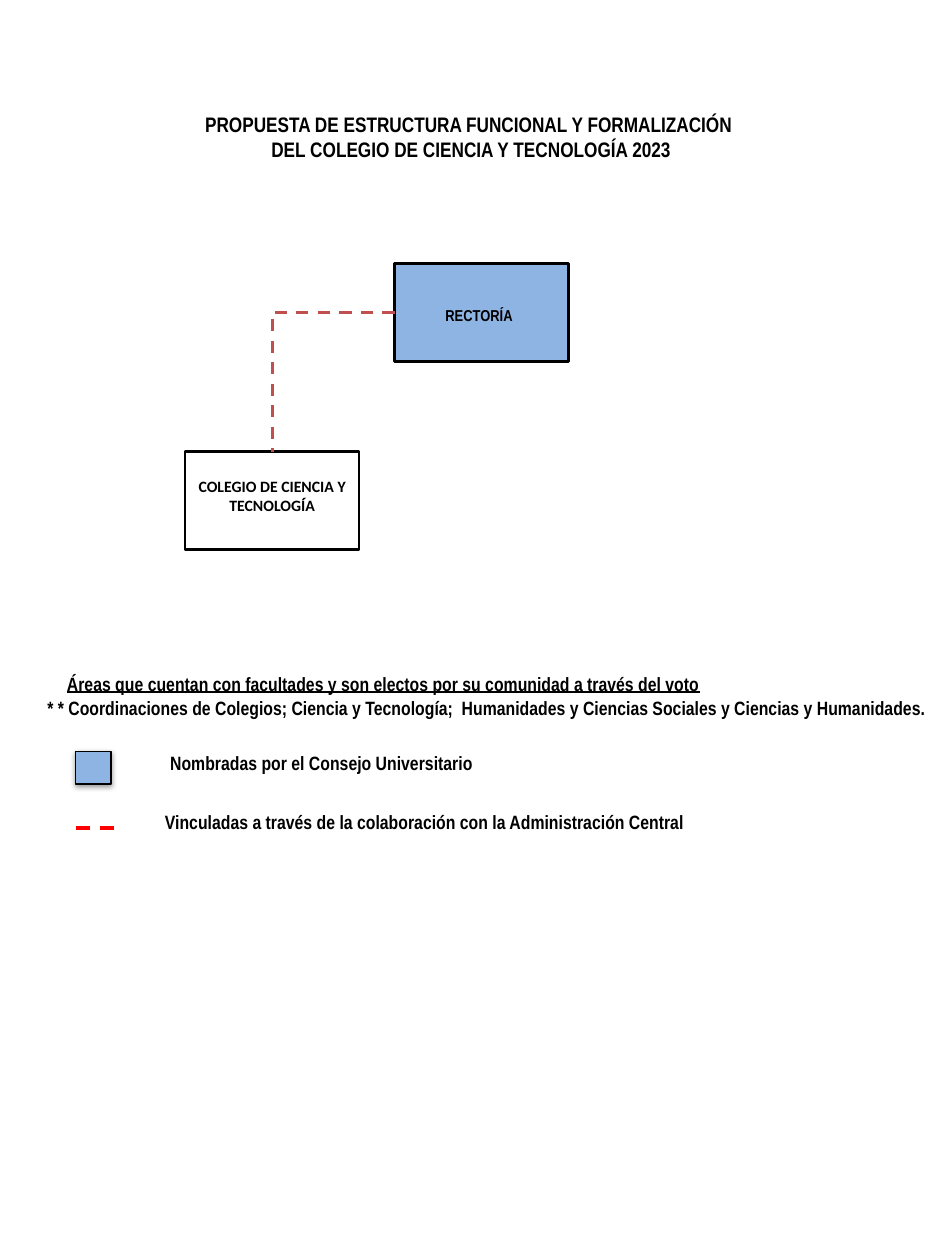
from dataclasses import dataclass

from lxml import etree
from pptx import Presentation
from pptx import util as u
from pptx.dml.color import RGBColor
from pptx.enum import dml, shapes, text
from pptx.oxml import parse_xml
from pptx.oxml.ns import nsdecls, qn

BLUE, BLACK, RED, BRICK = "8EB4E3", "000000", "FF0000", "C0504D"
NARROW = "Arial Narrow"
BOX_WIDTH, BOX_HEIGHT = 99.5, 56
NOTE_HEIGHT = 31.5


@dataclass(frozen=True)
class Label:
    lines: tuple[str, ...]
    size: float = 11
    font: str = NARROW
    centred: bool = False
    underline: bool = False
    insets: tuple[float, float, float, float] = (0, 9, 18, 9)


@dataclass(frozen=True)
class Box:
    left: float
    top: float
    width: float
    height: float
    label: Label | None = None
    fill: str | None = None
    weight: float = 1.5
    preset: shapes.MSO_SHAPE = shapes.MSO_SHAPE.RECTANGLE

    @property
    def frame(self) -> list[u.Length]:
        return [u.Pt(value) for value in (self.left, self.top, self.width, self.height)]


@dataclass(frozen=True)
class Link:
    start: tuple[float, float]
    end: tuple[float, float]
    colour: str
    weight: float
    preset: str = "line"


def colour_of(value: str) -> RGBColor:
    return RGBColor.from_string(value)


def write_label(shape, label: Label) -> None:
    frame = shape.text_frame
    sides = ("margin_left", "margin_top", "margin_right", "margin_bottom")
    settings = dict(zip(sides, map(u.Pt, label.insets)))
    settings |= {"word_wrap": True, "vertical_anchor": text.MSO_ANCHOR.TOP}
    for name, value in settings.items():
        setattr(frame, name, value)
    formats = {
        "name": label.font,
        "size": u.Pt(label.size),
        "bold": True,
        "underline": label.underline,
    }
    for index, line in enumerate(label.lines):
        paragraph = frame.add_paragraph() if index else frame.paragraphs[0]
        paragraph.alignment = text.PP_ALIGN.CENTER if label.centred else text.PP_ALIGN.LEFT
        run = paragraph.add_run()
        run.text = line
        for name, value in formats.items():
            setattr(run.font, name, value)
        run.font.color.rgb = colour_of(BLACK)


def draw_box(slide, box: Box):
    shape = slide.shapes.add_shape(box.preset, *box.frame)
    shape.shadow.inherit = False
    if box.fill:
        shape.fill.solid()
        shape.fill.fore_color.rgb = colour_of(box.fill)
    else:
        shape.fill.background()
    shape.line.color.rgb = colour_of(BLACK)
    shape.line.width = u.Pt(box.weight)
    if box.label:
        write_label(shape, box.label)
    return shape


def draw_text(slide, box: Box) -> None:
    shape = slide.shapes.add_textbox(*box.frame)
    write_label(shape, box.label)
    shape.text_frame.auto_size = text.MSO_AUTO_SIZE.SHAPE_TO_FIT_TEXT


def draw_link(slide, link: Link) -> None:
    ends = [u.Pt(value) for value in link.start + link.end]
    connector = slide.shapes.add_connector(shapes.MSO_CONNECTOR.STRAIGHT, *ends)
    properties = connector._element.spPr
    properties.find(qn("a:prstGeom")).set("prst", link.preset)
    connector.line.color.rgb = colour_of(link.colour)
    connector.line.width = u.Pt(link.weight)
    connector.line.dash_style = dml.MSO_LINE.DASH
    etree.SubElement(properties, qn("a:effectLst"))


def add_shadow(shape) -> None:
    effects = shape._element.spPr.find(qn("a:effectLst"))
    effects.append(parse_xml(
        f'<a:outerShdw {nsdecls("a")} blurRad="{u.Pt(3.1)}" dist="{u.Pt(1.6)}" '
        f'dir="5400000" rotWithShape="0"><a:srgbClr val="{BLACK}">'
        '<a:alpha val="38000"/></a:srgbClr></a:outerShdw>'
    ))


def main() -> None:
    presentation = Presentation()
    presentation.slide_width, presentation.slide_height = u.Pt(540), u.Pt(720)
    slide = presentation.slides.add_slide(presentation.slide_layouts[6])

    rectory = Box(
        225.5, 150.5, BOX_WIDTH, BOX_HEIGHT,
        Label(("RECTORÍA",), 9, centred=True, insets=(3, 24.5, 6, 3)),
        BLUE, preset=shapes.MSO_SHAPE.FLOWCHART_PROCESS,
    )
    college = Box(
        105.75, 258, BOX_WIDTH, BOX_HEIGHT,
        Label(("COLEGIO DE CIENCIA Y TECNOLOGÍA",), 9, "Calibri", True,
              insets=(7.2, 14.6, 7.2, 3.6)),
    )
    for box in (rectory, college):
        draw_box(slide, box)
    add_shadow(draw_box(slide, Box(43, 429.25, 20.5, 18.75, fill=BLUE, weight=0.75)))

    links = (
        Link((rectory.left, rectory.top + BOX_HEIGHT / 2),
             (college.left + BOX_WIDTH / 2, college.top),
             BRICK, 1.75, "bentConnector2"),
        Link((43.25, 473.25), (66, 473.25), RED, 2),
    )
    for link in links:
        draw_link(slide, link)

    title = Label(
        ("PROPUESTA DE ESTRUCTURA FUNCIONAL Y FORMALIZACIÓN ",
         "DEL COLEGIO DE CIENCIA Y TECNOLOGÍA 2023"),
        12, centred=True, insets=(7.2, 3.6, 7.2, 3.6),
    )
    areas = Label(
        ("Áreas que cuentan con facultades y son electos por su comunidad a través del voto",),
        underline=True, insets=(18, 9, 18, 9),
    )
    coordinations = Label(
        ("* * Coordinaciones de Colegios; Ciencia y Tecnología;  Humanidades y Ciencias "
         "Sociales y Ciencias y Humanidades.",),
        insets=(18, 9, 18, 9),
    )
    appointed = Label(("Nombradas por el Consejo Universitario",))
    linked = Label(("Vinculadas a través de la colaboración con la Administración Central",))
    texts = (
        Box(88.5, 60, 361.5, 36, title),
        Box(20.25, 377.25, 414, NOTE_HEIGHT, areas),
        Box(9, 391.25, 563, NOTE_HEIGHT, coordinations),
        Box(97.25, 422.5, 204.5, NOTE_HEIGHT, appointed),
        Box(94.25, 456.5, 323.25, NOTE_HEIGHT, linked),
    )
    for box in texts:
        draw_text(slide, box)

    presentation.save("out.pptx")


if __name__ == "__main__":
    main()
